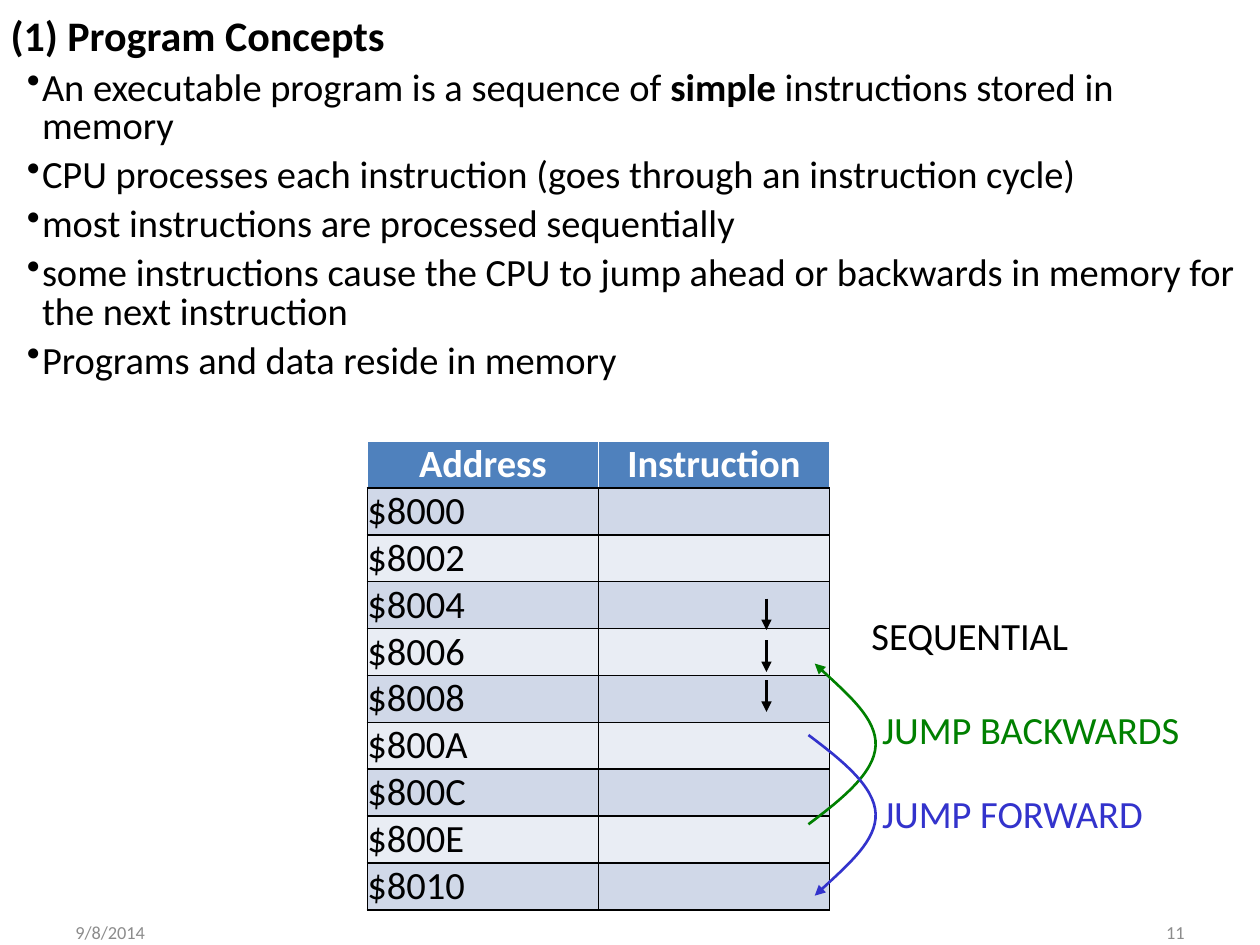
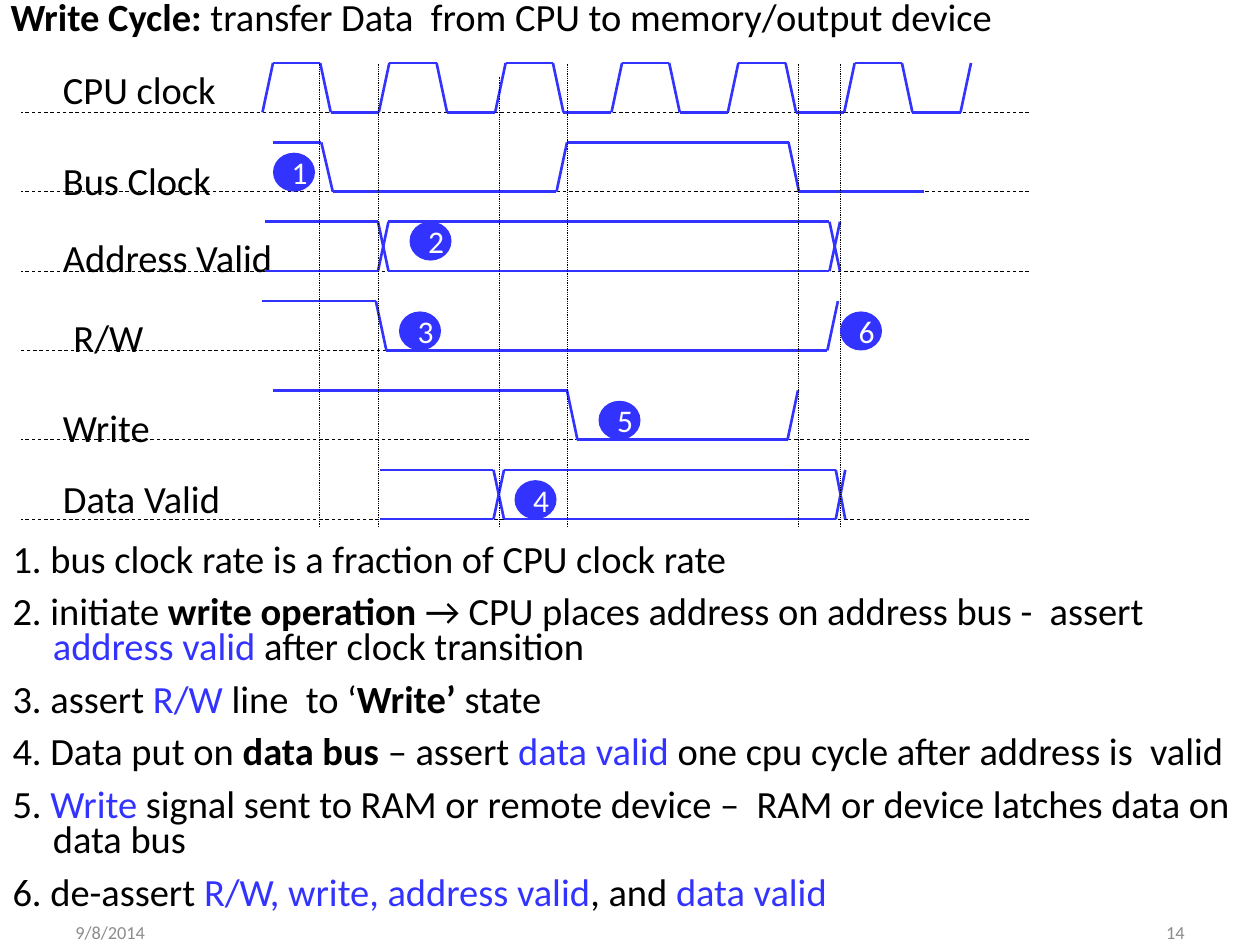
"""Build two lecture slides on program concepts and the write cycle."""
from itertools import pairwise

from lxml.etree import SubElement
from pptx import Presentation
from pptx.dml.color import RGBColor
from pptx.enum.dml import MSO_LINE
from pptx.enum.shapes import MSO_CONNECTOR, MSO_SHAPE
from pptx.enum.text import MSO_ANCHOR, MSO_AUTO_SIZE, PP_ALIGN
from pptx.oxml.ns import qn
from pptx.util import Inches, Pt

COLORS = {
    "black": "000000", "white": "FFFFFF", "gray": "8C8C8C", "green": "008000",
    "indigo": "3333CC", "blue": "3333FF", "header": "4F81BD",
    "odd": "D0D8E8", "even": "E9EDF4",
}
COLUMNS, ROWS = 120, 90
NO_MARGINS = dict.fromkeys(("margin_left", "margin_top", "margin_right", "margin_bottom"), 0)


def color(name):
    return RGBColor.from_string(COLORS[name])


def assign(target, values):
    for name, value in values.items():
        setattr(target, name, value)


class Deck:
    """Holds the shared style, the grid and the current slide."""

    def __init__(self):
        self.presentation = Presentation()
        assign(self.presentation, {"slide_width": Inches(10), "slide_height": Inches(7.5)})
        self.slide = None

    def x(self, columns):
        return round(self.presentation.slide_width * columns / COLUMNS)

    def y(self, rows):
        return round(self.presentation.slide_height * rows / ROWS)

    def box(self, left, top, width, height):
        return self.x(left), self.y(top), self.x(width), self.y(height)

    def new_slide(self, number, title, top, size=22):
        self.slide = self.presentation.slides.add_slide(self.presentation.slide_layouts[5])
        shape = self.slide.shapes.title
        places = self.box(1, top, 117, 3.7)
        assign(shape, dict(zip(("left", "top", "width", "height"), places)))
        self.fill_text(shape.text_frame, [title], size=size, line=22)
        footer = {"size": 10.5, "name": "gray", "anchor": MSO_ANCHOR.MIDDLE, "margins": {}}
        self.text((6, 87.7, 28, 2.2), ["9/8/2014"], **footer)
        self.text((86, 87.7, 28, 2.2), [number], align=PP_ALIGN.RIGHT, **footer)

    def fill_text(self, frame, paragraphs, size=22, name="black", align=PP_ALIGN.LEFT,
                  anchor=MSO_ANCHOR.TOP, margins=NO_MARGINS, line=None, before=0,
                  indent=None, bullet=None):
        assign(frame, {"word_wrap": True, "auto_size": MSO_AUTO_SIZE.NONE,
                       "vertical_anchor": anchor, **margins})
        for index, runs in enumerate(paragraphs):
            paragraph = frame.paragraphs[0] if index == 0 else frame.add_paragraph()
            spacing = {"line_spacing": Pt(line)} if line else {}
            assign(paragraph, {"alignment": align, "space_before": Pt(before), **spacing})
            self.fill_runs(paragraph, runs, size, name)
            if indent:
                properties = paragraph._p.get_or_add_pPr()
                properties.set("marL", str(Inches(indent[0])))
                properties.set("indent", str(Inches(indent[1])))
                if bullet:
                    SubElement(properties, qn("a:buChar"), char=bullet)

    def fill_runs(self, paragraph, runs, size, name):
        for item in [runs] if isinstance(runs, str) else runs:
            words, style = (item, "") if isinstance(item, str) else item
            run = paragraph.add_run()
            run.text = words
            assign(run.font, {"name": "Calibri", "size": Pt(size), "bold": style == "bold"})
            run.font.color.rgb = color(style if style in COLORS else name)

    def text(self, place, paragraphs, **style):
        shape = self.slide.shapes.add_textbox(*self.box(*place))
        self.fill_text(shape.text_frame, paragraphs, **style)

    def label(self, left, top, width, words, name="black"):
        self.text((left, top, width, 4), [words], name=name, line=22)

    def stroke(self, shape, name, width, dash=None, arrow=False):
        shape.line.color.rgb = color(name)
        assign(shape.line, {"width": Pt(width), "dash_style": dash})
        properties = shape.element.spPr
        if arrow:
            SubElement(properties.find(qn("a:ln")), qn("a:tailEnd"), type="triangle")
        if properties.find(qn("a:effectLst")) is None:
            SubElement(properties, qn("a:effectLst"))

    def line(self, start, end, name="black", width=1.5, **style):
        shape = self.slide.shapes.add_connector(
            MSO_CONNECTOR.STRAIGHT, self.x(start[0]), self.y(start[1]),
            self.x(end[0]), self.y(end[1]))
        self.stroke(shape, name, width, **style)

    def curve_arrow(self, points, name):
        points = [(self.x(column), self.y(row)) for column, row in points]
        builder = self.slide.shapes.build_freeform(*points[0])
        builder.add_line_segments(points[1:], close=False)
        shape = builder.convert_to_shape()
        shape.fill.background()
        segments = list(shape.element.iter(qn("a:lnTo")))
        outline = segments[0].getparent()
        for first in range(0, len(segments), 3):
            bezier = SubElement(outline, qn("a:cubicBezTo"))
            for segment in segments[first:first + 3]:
                bezier.append(segment[0])
                outline.remove(segment)
        self.stroke(shape, name, 1.5, arrow=True)

    def badge(self, left, top, number):
        shape = self.slide.shapes.add_shape(MSO_SHAPE.OVAL, *self.box(left, top, 4, 3.72))
        shape.shadow.inherit = False
        shape.fill.solid()
        shape.fill.fore_color.rgb = color("blue")
        shape.line.fill.background()
        self.fill_text(shape.text_frame, [number], size=18, name="white", margins={},
                       align=PP_ALIGN.CENTER, anchor=MSO_ANCHOR.MIDDLE)

    def table(self, place, rows):
        table = self.slide.shapes.add_table(len(rows), len(rows[0]), *self.box(*place)).table
        for index, row in enumerate(rows):
            header = index == 0
            fill = "header" if header else "odd" if index % 2 else "even"
            for column, words in enumerate(row):
                cell = table.cell(index, column)
                assign(cell, NO_MARGINS)
                for side in ("L", "R", "T", "B"):
                    self.border(cell, side, "white" if header and side != "B" else "black")
                cell.fill.solid()
                cell.fill.fore_color.rgb = color(fill)
                paragraph = cell.text_frame.paragraphs[0]
                if words:
                    paragraph.alignment = PP_ALIGN.CENTER if header else PP_ALIGN.LEFT
                    self.fill_runs(paragraph, [(words, "bold") if header else words], 22,
                                   "white" if header else "black")

    def border(self, cell, side, name):
        line = SubElement(cell._tc.get_or_add_tcPr(), qn(f"a:ln{side}"), w=str(Pt(1)))
        SubElement(SubElement(line, qn("a:solidFill")), qn("a:srgbClr"), val=COLORS[name])


def program_slide(deck):
    deck.new_slide("11", [("(1) Program Concepts", "bold")], top=2, size=24)
    deck.text((1, 6.7, 117, 31.3), [
        ["An executable program is a sequence of ", ("simple", "bold"),
         " instructions stored in memory"],
        "CPU processes each instruction (goes through an instruction cycle)",
        "most instructions are processed sequentially",
        "some instructions cause the CPU to jump ahead or backwards in memory "
        "for the next instruction",
        "Programs and data reside in memory",
    ], line=22, before=6, indent=(0.25, -0.12), bullet="•")
    addresses = [(f"${address:X}", "") for address in range(0x8000, 0x8012, 2)]
    deck.table((35, 42, 44, 44), [("Address", "Instruction"), *addresses])
    for top in (57, 61, 64.8):
        deck.line((73, top), (73, top + 3), arrow=True)
    backwards = [(77, 78.5), (80.2, 76.1), (83.3, 73.6), (83.4, 71),
                 (83.5, 68.5), (80.5, 65.9), (77.6, 63.2)]
    deck.curve_arrow(backwards, "green")
    deck.curve_arrow([(column, 148.5 - row) for column, row in backwards], "indigo")
    deck.label(83, 59, 26, "SEQUENTIAL")
    deck.label(84, 68, 33, "JUMP BACKWARDS", "green")
    deck.label(84, 76, 33, "JUMP FORWARD", "indigo")


def write_cycle_slide(deck):
    deck.new_slide("14", [("Write Cycle:", "bold"),
                          " transfer Data  from CPU to memory/output device"], top=0.1)
    deck.text((1.2, 52, 118.8, 35.4), [
        "1. bus clock rate is a fraction of CPU clock rate",
        ["2. initiate ", ("write operation ", "bold"),
         "→ CPU places address on address bus -  assert ", ("address valid", "blue"),
         " after clock transition"],
        ["3. assert ", ("R/W", "blue"), " line  to ‘", ("Write’", "bold"), " state"],
        ["4. Data put on ", ("data bus", "bold"), " – assert ", ("data valid", "blue"),
         " one cpu cycle after address is  valid"],
        ["5. ", ("Write ", "blue"),
         "signal sent to RAM or remote device –  RAM or device latches data on data bus"],
        ["6. de-assert ", ("R/W, write, address valid", "blue"), ", and ",
         ("data valid", "blue")],
    ], line=20, before=10, indent=(0.32, -0.32))

    swing = 4.7
    lows = [10.7 + 7.56 * lane + (0.95 if lane > 3 else 0) for lane in range(6)]
    clock = [(25 + 11.08 * period + offset, level) for period in range(7)
             for offset, level in ((0, 0), (1, 1), (5.5, 1), (6.5, 0))][:-2]
    address = [(25.2, 1), (36, 1), (37, 0), (79, 0), (80, 1)]
    data = [(36.2, 1), (47, 1), (48, 0), (79.6, 0), (80.5, 1)]
    bus_clock = [(26, 1), (30.6, 1), (31.7, 0), (53, 0),
                 (54, 1), (75.1, 1), (76.1, 0), (88, 0)]
    read_write = [(25, 1), (35.8, 1), (36.8, 0), (78.8, 0), (79.8, 1)]
    write = [(26, 1), (54, 1), (55, 0), (75, 0), (76, 1)]
    signals = [
        ("CPU clock", 6, 7, 98, [clock]),
        ("Bus Clock", 6, 15.7, 98, [bus_clock]),
        ("Address Valid", 6, 23, 98, [address, [(x, 1 - level) for x, level in address]]),
        ("R/W", 7, 30.6, 40.4, [read_write]),
        ("Write", 6, 39.2, 98, [write]),
        ("Data Valid", 6, 46, 98, [data, [(x, 1 - level) for x, level in data]]),
    ]
    for low, (name, left, top, right, waves) in zip(lows, signals):
        deck.line((right, low), (2, low), width=0.5, dash=MSO_LINE.DASH)
        deck.label(left, top, 25, name)
        for wave in waves:
            points = [(column, low - swing * level) for column, level in wave]
            for start, end in pairwise(points):
                deck.line(start, end, "blue")
    for column, top in ((30.4, 6), (36, 6), (47.6, 7.3), (54, 6), (76, 6), (80, 6)):
        deck.line((column, 50.2), (column, top), width=0.5, dash=MSO_LINE.ROUND_DOT)
    badges = ((26, 1, 0), (39, 2, 1), (38, 3, 0), (49, 5, 0), (57, 4, 0), (80, 3, 0))
    for (left, lane, lift), number in zip(badges, "123456"):
        deck.badge(left, lows[lane] - 3.72 - lift, number)


deck = Deck()
program_slide(deck)
write_cycle_slide(deck)
deck.presentation.save("out.pptx")
